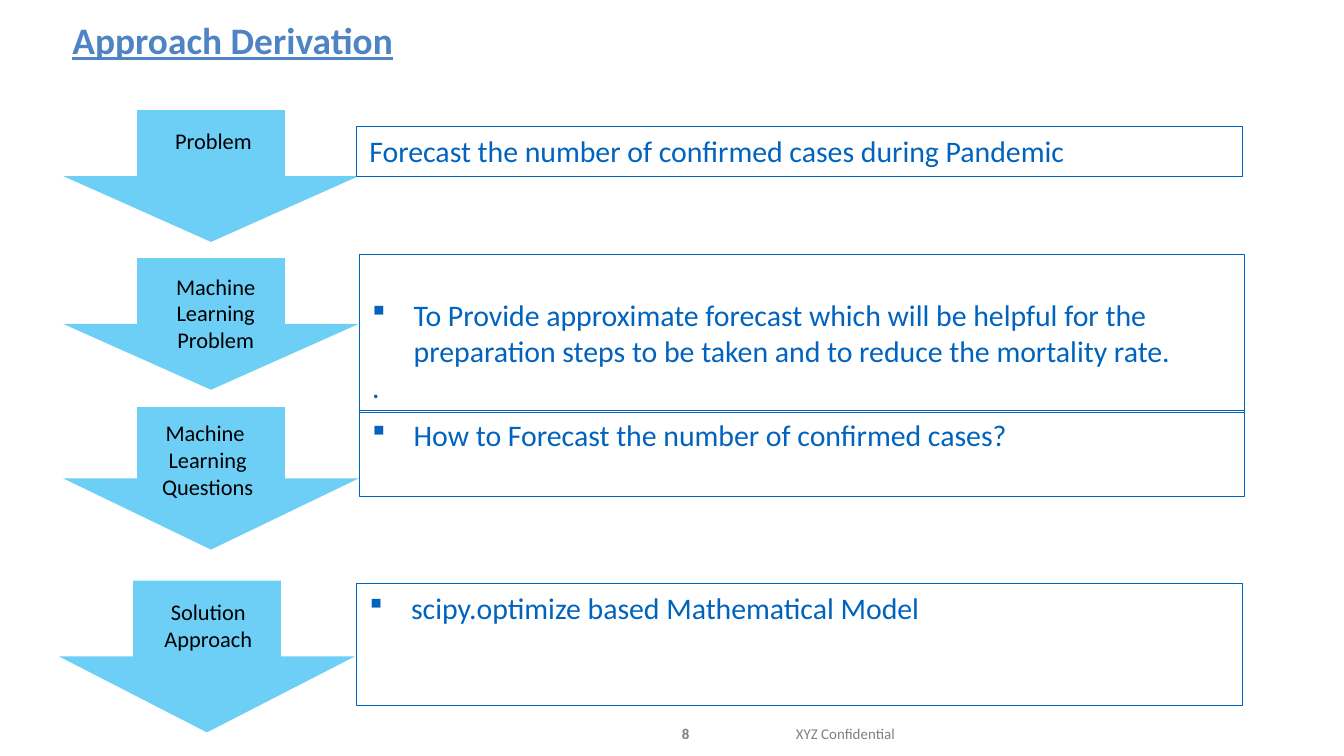
import pptx
import pptx.dml.color
import pptx.enum.shapes
import pptx.enum.text
import pptx.oxml
import pptx.util
from pptx.util import Inches

SHAPES = pptx.enum.shapes.MSO_SHAPE
ALIGN = pptx.enum.text.PP_ALIGN
ANCHOR = pptx.enum.text.MSO_ANCHOR


def rgb(value):
    return pptx.dml.color.RGBColor.from_string(value)


def write(shape, text, size, color, align=ALIGN.LEFT, bold=False, underline=False, inset=(0.1, 0.05)):
    frame = shape.text_frame
    frame.text = text
    frame.word_wrap = True
    frame.vertical_anchor = ANCHOR.TOP
    frame.margin_left = frame.margin_right = Inches(inset[0])
    frame.margin_top = frame.margin_bottom = Inches(inset[1])
    for paragraph in frame.paragraphs:
        paragraph.alignment = align
        for run in paragraph.runs:
            run.font.name = "Calibri"
            run.font.size = pptx.util.Pt(size)
            run.font.color.rgb = rgb(color)
            run.font.bold = bold
            run.font.underline = underline
    return frame


presentation = pptx.Presentation()
presentation.slide_width = Inches(10)
presentation.slide_height = Inches(10) * 9 // 16
slide = presentation.slides.add_slide(presentation.slide_layouts[6])

number = slide.shapes.add_textbox(Inches(4.75), Inches(5.31), Inches(0.73), Inches(0.3))
frame = write(number, "8 ", 8, "808080", ALIGN.CENTER, bold=True, inset=(0.07, 0.04))
frame.vertical_anchor = ANCHOR.MIDDLE

steps = [
    (0.47, 0.82, 0.98, " Problem", 1.08, 0.9, 0.98, 0.3),
    (0.47, 1.92, 0.98, "Machine\nLearning\nProblem", 1.05, 1.98, 1.11, 0.71),
    (0.47, 3.03, 1.06, "Machine \nLearning\nQuestions", 1, 3.07, 1.09, 0.71),
    (0.44, 4.32, 1.13, "Solution\nApproach", 1.06, 4.4, 0.98, 0.5),
]
for left, top, height, text, *label_box in steps:
    group = slide.shapes.add_group_shape()
    arrow = group.shapes.add_shape(
        SHAPES.DOWN_ARROW, Inches(left), Inches(top), Inches(2.2), Inches(height))
    arrow.shadow.inherit = False
    arrow.fill.solid()
    arrow.fill.fore_color.rgb = rgb("6DCFF6")
    arrow.line.fill.background()
    label = group.shapes.add_textbox(*[Inches(length) for length in label_box])
    write(label, text, 12, "000000", ALIGN.CENTER)

answers = [
    (2.65, 0.94, 0.37, 0.05, False, "Forecast the number of confirmed cases during Pandemic"),
    (2.67, 1.89, 1.18, 0.32, True,
     "To Provide approximate forecast which will be helpful for the preparation steps "
     "to be taken and to reduce the mortality rate.\n."),
    (2.67, 3.05, 0.64, 0.05, True, "How to Forecast the number of confirmed cases?"),
    (2.65, 4.34, 0.91, 0.05, True, "scipy.optimize based Mathematical Model"),
]
namespace = 'xmlns:a="http://schemas.openxmlformats.org/drawingml/2006/main"'
for left, top, height, top_margin, bulleted, text in answers:
    box = slide.shapes.add_shape(
        SHAPES.RECTANGLE, Inches(left), Inches(top), Inches(6.59), Inches(height))
    box.shadow.inherit = False
    box.fill.background()
    box.line.color.rgb = rgb("0063BE")
    box.line.width = pptx.util.Pt(0.25)
    frame = write(box, text, 16, "0063BE")
    frame.margin_top = Inches(top_margin)
    if bulleted:
        for paragraph in frame.paragraphs:
            properties = paragraph._p.get_or_add_pPr()
            properties.set("marL", str(Inches(0.31)))
            properties.set("indent", str(Inches(-0.31)))
        properties = frame.paragraphs[0]._p.get_or_add_pPr()
        for bullet in ('buFont {} typeface="Wingdings" charset="2"', 'buChar {} char="§"'):
            properties.append(pptx.oxml.parse_xml(f"<a:{bullet.format(namespace)}/>"))

footer = slide.shapes.add_textbox(Inches(5.04), Inches(5.35), Inches(2.5), Inches(0.18))
frame = write(footer, "XYZ Confidential", 8, "808080", ALIGN.CENTER, inset=(0.07, 0.04))
frame.word_wrap = False
frame.paragraphs[0].space_before = pptx.util.Pt(1.6)

title = slide.shapes.add_textbox(Inches(0.44), Inches(0.08), Inches(6.82), Inches(0.52))
write(title, "Approach Derivation", 20, "4E84C4", bold=True, underline=True)

presentation.save("out.pptx")
